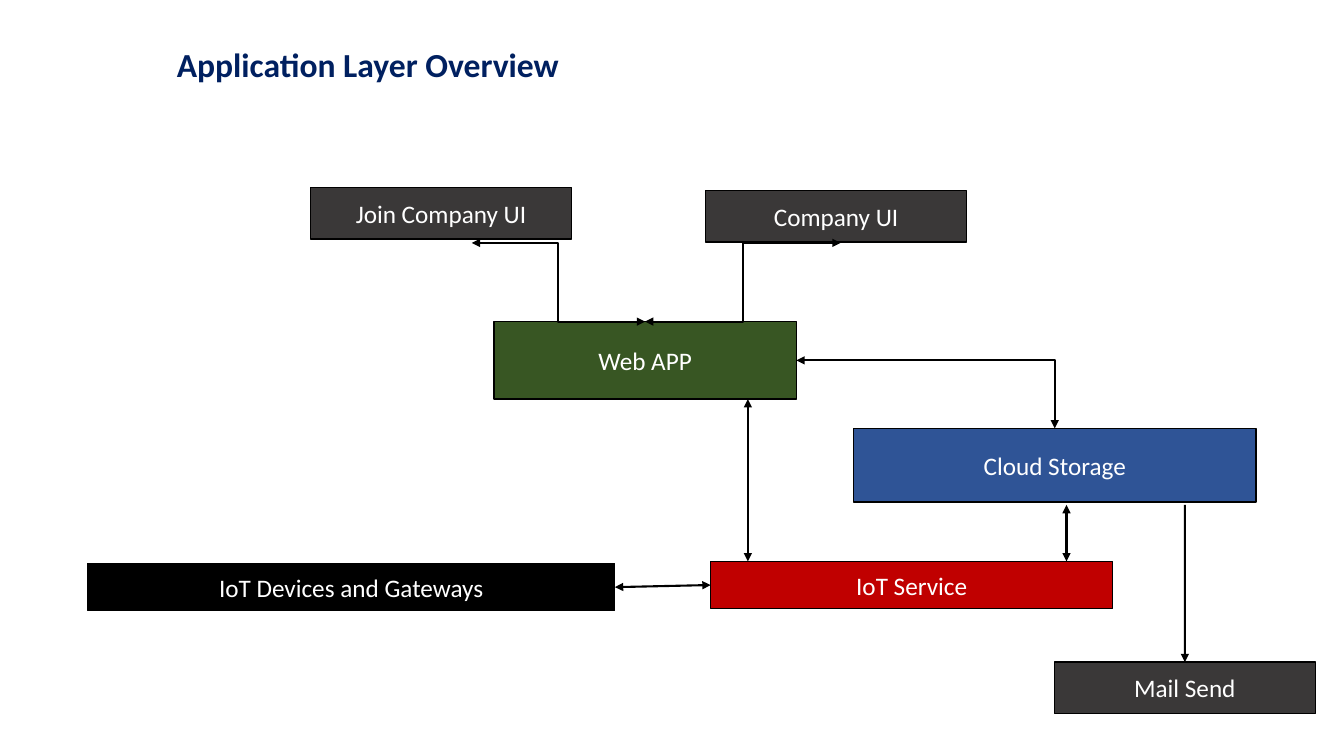
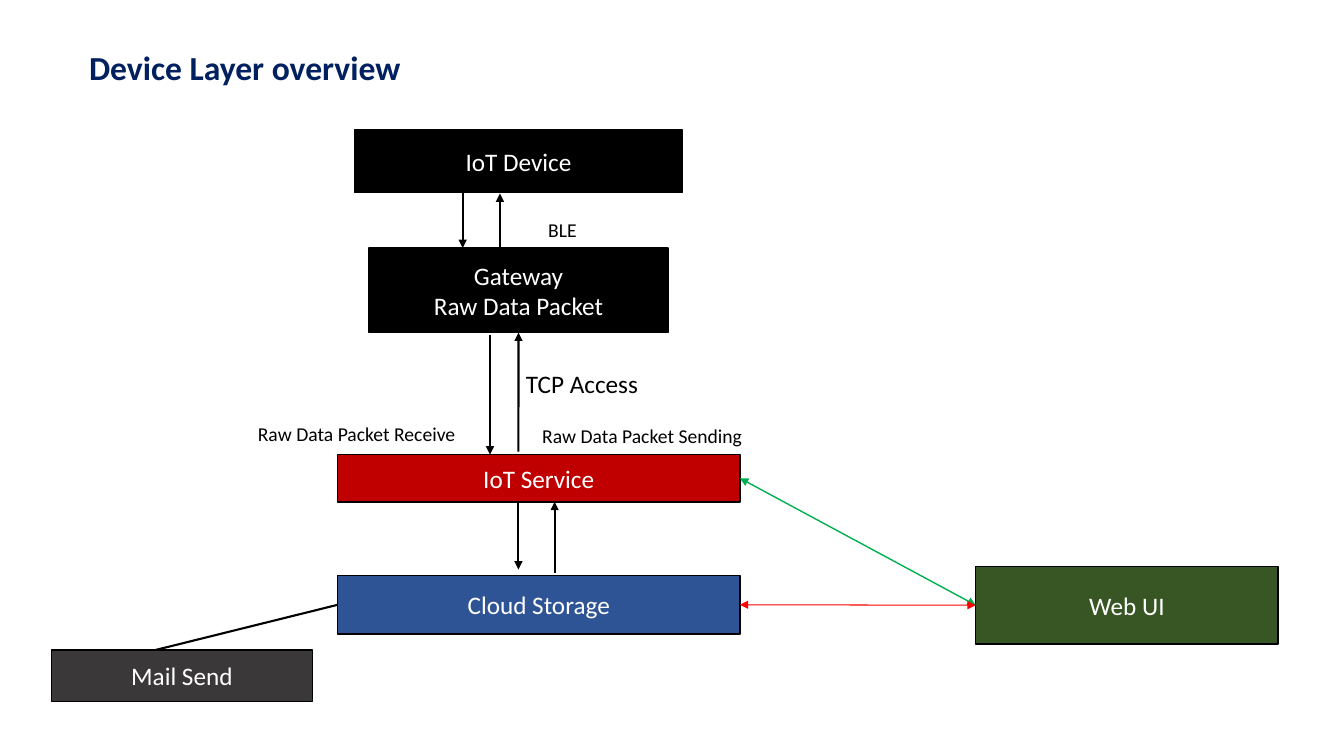
from lxml.etree import SubElement
from pptx import Presentation
from pptx.dml.color import RGBColor
from pptx.enum.shapes import MSO_CONNECTOR as Link, MSO_SHAPE as Preset
from pptx.enum.text import MSO_ANCHOR as Anchor, PP_ALIGN as Align
from pptx.oxml.ns import qn
from pptx.util import Pt

FONT = "Calibri"
NAVY, BLACK, WHITE = "002060", "000000", "FFFFFF"
GREY, GREEN, RED, BLUE = "3A3838", "385623", "C00000", "2F5496"
LINK_GREEN, LINK_RED = "00B050", "FF0000"

SMALL_BOX = (186.5, 36.7)
WEB_BOX = (216, 55.4)
SERVICE_BOX = (287.3, 33.8)
TOP, LEFT, BOTTOM, RIGHT = range(4)


def color(value):
    return RGBColor.from_string(value)


def write(shape, text, size, ink, align, anchor, bold=False):
    frame = shape.text_frame
    frame.word_wrap = True
    frame.vertical_anchor = anchor
    frame.text = text
    for para in frame.paragraphs:
        para.alignment = align
        para.font.name = FONT
        para.font.size = Pt(size)
        para.font.bold = bold
        para.font.color.rgb = color(ink)


def add_label(page, text, left, top, width, height, size=14):
    label = page.shapes.add_textbox(Pt(left), Pt(top), Pt(width), Pt(height))
    write(label, text, size, BLACK, Align.LEFT, Anchor.TOP)


def add_title(page, text, left, top, width, align):
    title = page.shapes.add_textbox(Pt(left), Pt(top), Pt(width), Pt(57))
    write(title, text, 24, NAVY, align, Anchor.MIDDLE, bold=True)


def add_box(page, text, left, top, size, fill):
    width, height = size
    box = page.shapes.add_shape(Preset.RECTANGLE, Pt(left), Pt(top), Pt(width), Pt(height))
    box.shadow.inherit = False
    box.fill.solid()
    box.fill.fore_color.rgb = color(fill)
    box.line.color.rgb = color(BLACK)
    box.line.width = Pt(1)
    write(box, text, 18, WHITE, Align.CENTER, Anchor.MIDDLE)
    return box


def add_link(page, start, end, both=False, ink=BLACK, weight=1.5, kind=Link.STRAIGHT):
    link = page.shapes.add_connector(kind, *map(Pt, start), *map(Pt, end))
    link.line.color.rgb = color(ink)
    link.line.width = Pt(weight)
    line = link.line._get_or_add_ln()
    for tag in ("a:headEnd", "a:tailEnd") if both else ("a:tailEnd",):
        SubElement(line, qn(tag), type="triangle")
    SubElement(link._element.spPr, qn("a:effectLst"))
    return link


def side_point(box, side):
    across, down = {TOP: (0.5, 0), LEFT: (0, 0.5), BOTTOM: (0.5, 1), RIGHT: (1, 0.5)}[side]
    return (box.left + across * box.width) / Pt(1), (box.top + down * box.height) / Pt(1)


def join_boxes(page, source, source_side, target, target_side, **style):
    start, end = side_point(source, source_side), side_point(target, target_side)
    link = add_link(page, start, end, both=True, **style)
    link.begin_connect(source, source_side)
    link.end_connect(target, target_side)
    return link


def build_application_layer(page):
    add_title(page, "Application Layer Overview", 21.6, 17, 482.4, Align.CENTER)
    cloud = add_box(page, "Cloud Storage", 609.8, 306, (287.3, 52.6), BLUE)
    service = add_box(page, "IoT Service", 507.6, 401, SERVICE_BOX, RED)
    devices = add_box(page, "IoT Devices and Gateways", 62.6, 402.5, (376.6, 33.8), BLACK)
    web = add_box(page, "Web APP", 352.8, 229.7, WEB_BOX, GREEN)
    mail = add_box(page, "Mail Send", 753.1, 473, SMALL_BOX, GREY)
    add_box(page, "Join Company UI", 221.8, 133.9, SMALL_BOX, GREY)
    add_box(page, "Company UI", 504, 136.1, SMALL_BOX, GREY)

    corner = join_boxes(page, web, RIGHT, cloud, TOP, kind=Link.ELBOW)
    corner._element.spPr.find(qn("a:prstGeom")).set("prst", "bentConnector2")
    for screen_x in (337, 600.5):
        add_link(page, (screen_x, 173.5), side_point(web, TOP), both=True, kind=Link.ELBOW)
    add_link(page, (534.2, 285.1), (534.2, 401), both=True)
    add_link(page, (761.8, 360.7), (761.8, 401), both=True)
    join_boxes(page, service, LEFT, devices, RIGHT)
    mail_link = add_link(page, (846.4, 360.7), side_point(mail, TOP))
    mail_link.end_connect(mail, TOP)


def build_device_layer(page):
    add_title(page, "Device Layer overview", 56.5, 19.5, 495, Align.LEFT)
    gateway = add_box(page, "Gateway\nRaw Data Packet", 263.5, 177.1, (213.8, 60.5), BLACK)
    service = add_box(page, "IoT Service", 241.2, 324.7, SERVICE_BOX, RED)
    cloud = add_box(page, "Cloud Storage", 241.2, 411.1, (287.3, 41.8), BLUE)
    add_box(page, "IoT Device", 253.4, 92.9, (234, 44.6), BLACK)
    web = add_box(page, "Web UI", 697, 404.6, WEB_BOX, GREEN)

    mail_link = add_link(page, side_point(cloud, LEFT), (36.7, 482.7))
    mail_link.begin_connect(cloud, LEFT)
    mail = add_box(page, "Mail Send", 36.7, 464.4, SMALL_BOX, GREY)
    mail_link.end_connect(mail, LEFT)

    for x, start, end in (
        (330.5, 138.2, 177.1),
        (357.1, 176.4, 138.2),
        (350, 239, 324.7),
        (370.3, 358, 406.8),
        (396.2, 409, 358.5),
    ):
        add_link(page, (x, start), (x, end))
    sending = add_link(page, (370.3, 322.6), side_point(gateway, BOTTOM))
    sending.end_connect(gateway, BOTTOM)
    join_boxes(page, service, RIGHT, web, LEFT, ink=LINK_GREEN, weight=1)
    join_boxes(page, cloud, RIGHT, web, LEFT, ink=LINK_RED, weight=0.75)

    add_label(page, "BLE", 384.5, 151.9, 72.7, 24.5)
    add_label(page, "TCP Access", 368.6, 259.9, 96, 28.8, size=18)
    add_label(page, "Raw Data Packet Receive", 177.1, 298.1, 162, 24.5)
    add_label(page, "Raw Data Packet Sending", 380.2, 299.5, 162, 24.5)


def main():
    deck = Presentation()
    deck.slide_width, deck.slide_height = Pt(960), Pt(540)
    blank = deck.slide_layouts[6]
    for build in (build_application_layer, build_device_layer):
        build(deck.slides.add_slide(blank))
    deck.save("out.pptx")


if __name__ == "__main__":
    main()
